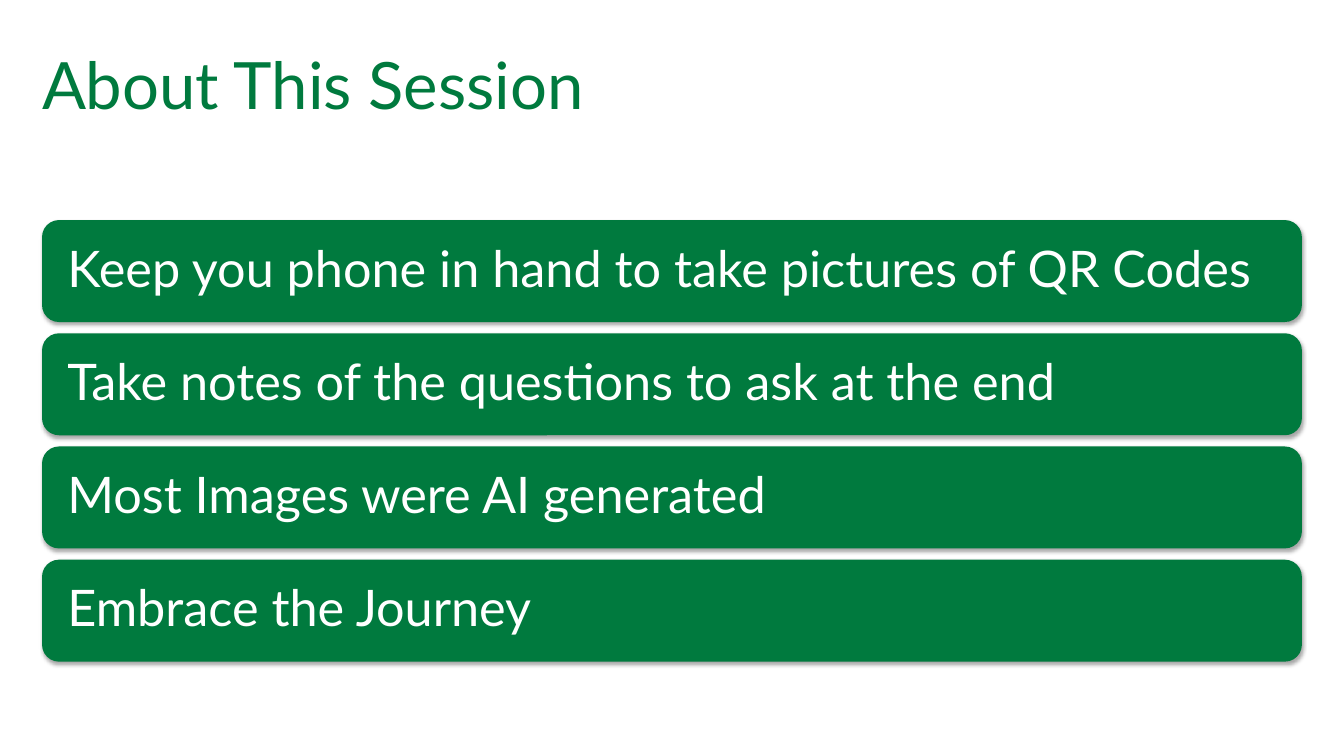
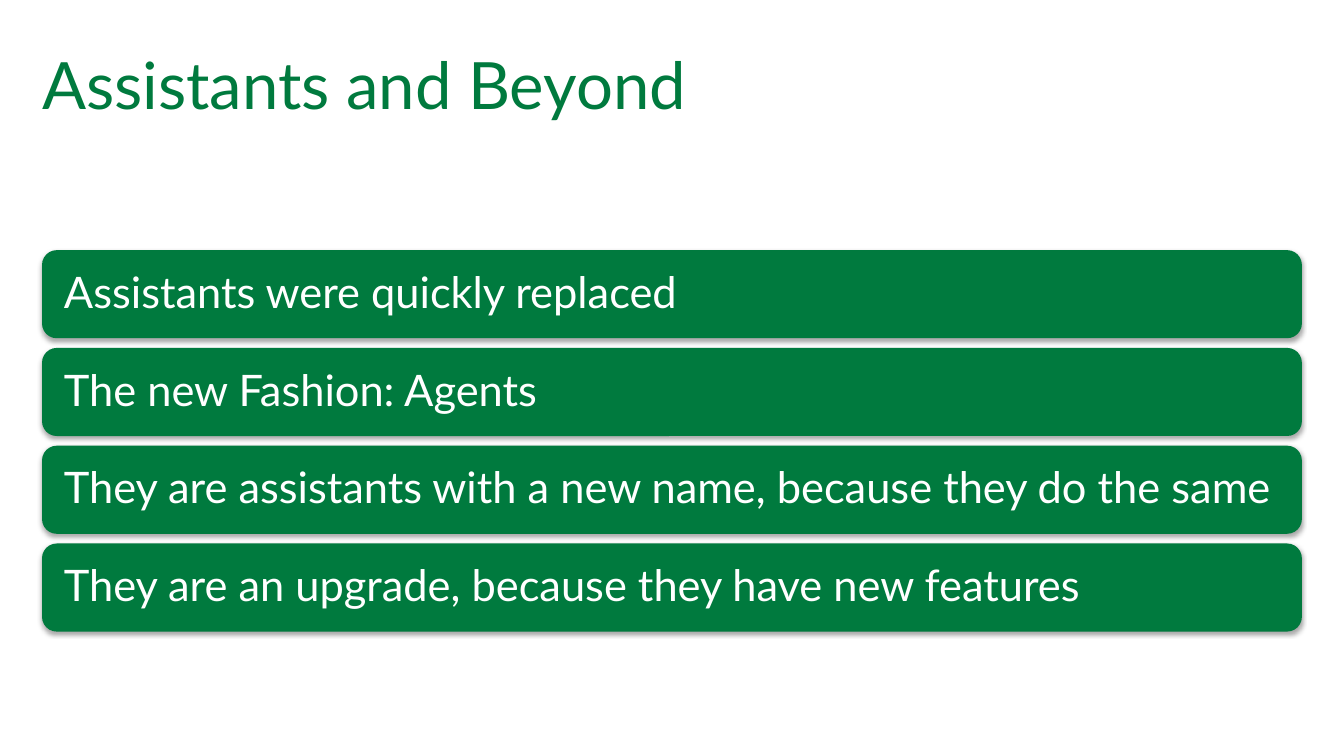
"""Build two slides, each a title above a stack of rounded bars."""
from lxml import etree
from pptx import Presentation
from pptx import util as u
from pptx.dml.color import RGBColor
from pptx.enum import shapes, text
from pptx.oxml import ns

GREEN = RGBColor(0x00, 0x7A, 0x3E)
WHITE = RGBColor(0xFF, 0xFF, 0xFF)
BLACK = RGBColor(0x00, 0x00, 0x00)

SLIDES = [
    ("About This Session", 36, 2.57, [
        "Keep you phone in hand to take pictures of QR Codes",
        "Take notes of the questions to ask at the end",
        "Most Images were AI generated",
        "Embrace the Journey",
    ]),
    ("Assistants and Beyond", 31, 2.22, [
        "Assistants were quickly replaced",
        "The new Fashion: Agents",
        "They are assistants with a new name, because they do the same",
        "They are an upgrade, because they have new features",
    ]),
]


class Deck:
    """Hold the shared style and the current slide."""

    FONT = "Lato"
    MARGIN = 1.06
    WIDTH = 31.75
    STACK_MIDDLE = 11.11
    GAP_RATIO = 0.11
    INSET_RATIO = 0.2

    def __init__(self):
        """Start an empty widescreen presentation."""
        self.deck = Presentation()
        self.deck.slide_width = u.Cm(33.87)
        self.deck.slide_height = u.Cm(19.05)
        self.page = None

    def add_page(self):
        """Add a blank slide and make it current."""
        self.page = self.deck.slides.add_slide(self.deck.slide_layouts[6])

    def set_text(self, box, wording, size, color, inset=0, spacing=1.0):
        """Set one left-aligned, vertically centred paragraph."""
        frame = box.text_frame
        para = frame.paragraphs[0]
        para.text = wording
        formats = [
            (frame, {"word_wrap": True,
                     "vertical_anchor": text.MSO_ANCHOR.MIDDLE,
                     "margin_left": u.Cm(inset), "margin_right": u.Cm(inset),
                     "margin_top": 0, "margin_bottom": 0}),
            (para, {"alignment": text.PP_ALIGN.LEFT, "line_spacing": spacing}),
            (para.font, {"name": self.FONT, "size": u.Pt(size)}),
            (para.font.color, {"rgb": color}),
        ]
        for target, values in formats:
            for name, value in values.items():
                setattr(target, name, value)

    def add_title(self, wording):
        """Place the slide title."""
        box = self.page.shapes.add_textbox(
            u.Cm(self.MARGIN), u.Cm(self.MARGIN), u.Cm(self.WIDTH), u.Cm(2.1))
        self.set_text(box, wording, 46.6, GREEN)

    def add_shadow(self, box):
        """Give a shape a soft shadow straight below it."""
        box.shadow.inherit = False
        effects = box._element.spPr.find(ns.qn("a:effectLst"))
        shadow = etree.SubElement(
            effects, ns.qn("a:outerShdw"), blurRad="40000", dist="23000",
            dir="5400000", rotWithShape="0")
        color = etree.SubElement(shadow, ns.qn("a:srgbClr"), val=str(BLACK))
        etree.SubElement(color, ns.qn("a:alpha"), val="35000")

    def add_bar(self, wording, top, height, size):
        """Draw one rounded bar with its text."""
        bar = self.page.shapes.add_shape(
            shapes.MSO_SHAPE.ROUNDED_RECTANGLE, u.Cm(self.MARGIN), u.Cm(top),
            u.Cm(self.WIDTH), u.Cm(height))
        bar.fill.solid()
        bar.fill.fore_color.rgb = GREEN
        bar.line.fill.background()
        self.add_shadow(bar)
        self.set_text(bar, wording, size, WHITE, height * self.INSET_RATIO, 0.9)

    def add_stack(self, wordings, height, size):
        """Stack equal bars around the middle of the body area."""
        gap = height * self.GAP_RATIO
        pitch = height + gap
        first = self.STACK_MIDDLE - (len(wordings) * pitch - gap) / 2
        for index, wording in enumerate(wordings):
            self.add_bar(wording, first + index * pitch, height, size)


def main():
    """Build and save the presentation."""
    show = Deck()
    for title, size, height, wordings in SLIDES:
        show.add_page()
        show.add_title(title)
        show.add_stack(wordings, height, size)
    show.deck.save("out.pptx")


if __name__ == "__main__":
    main()
